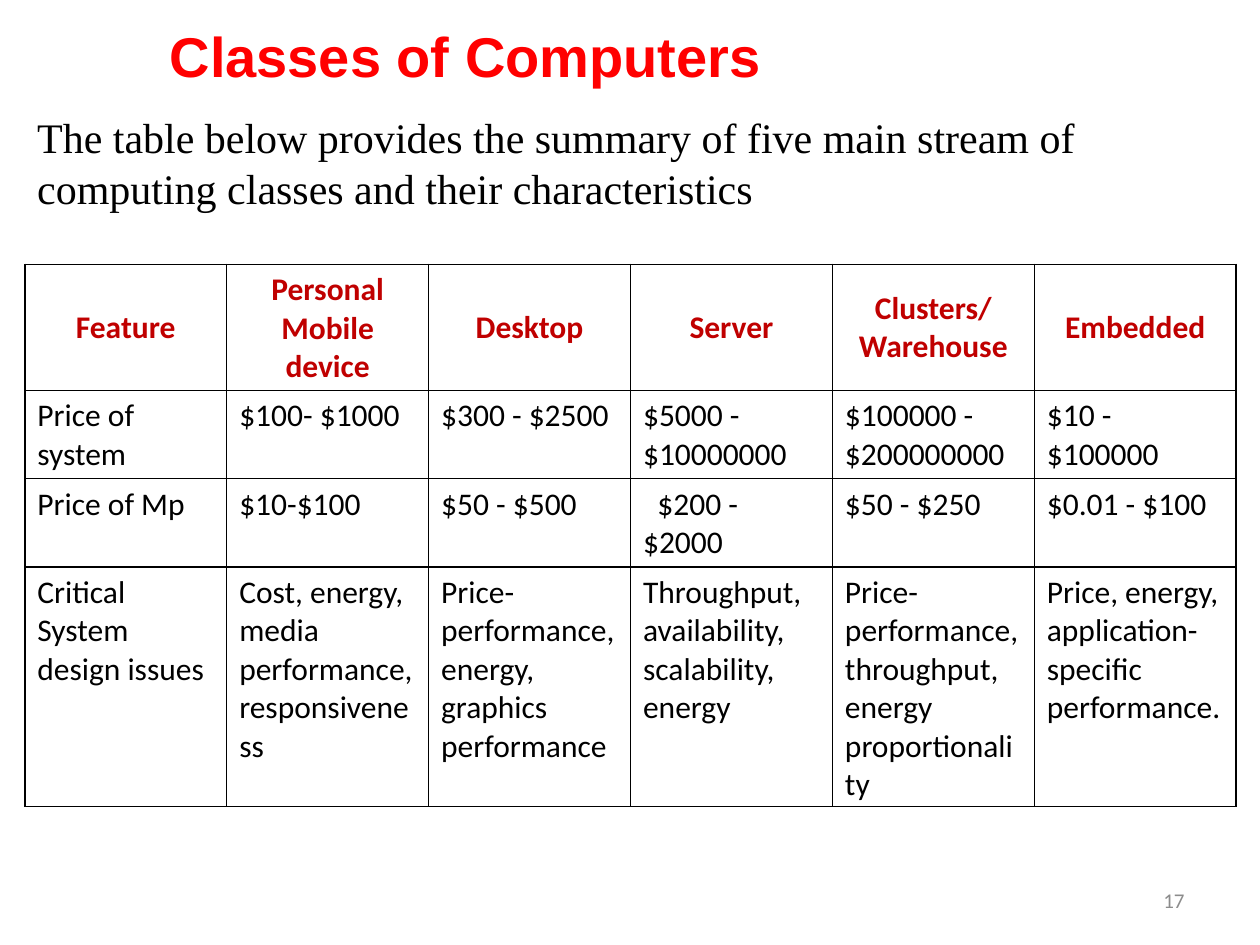
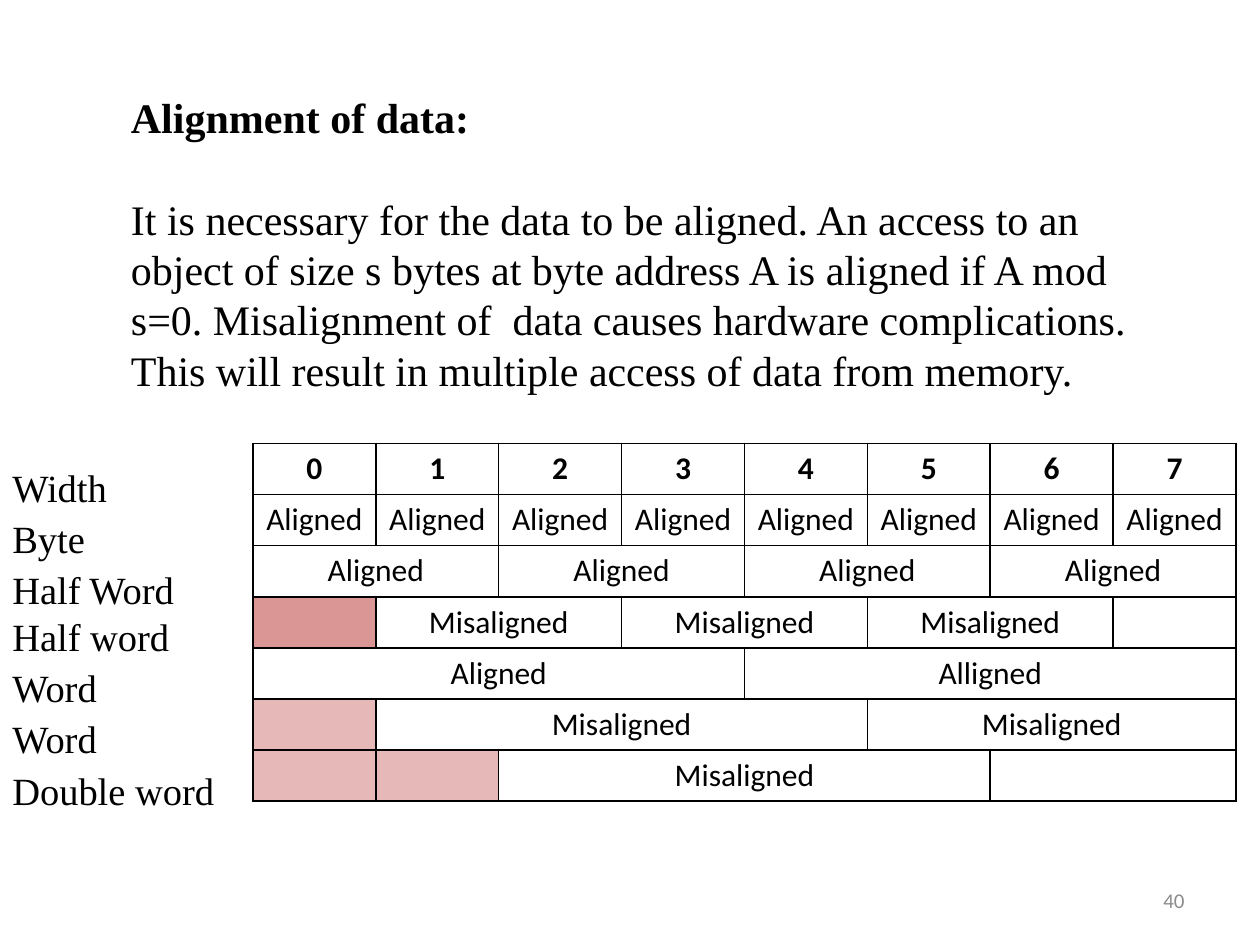
"""Build two lecture slides: classes of computers and alignment of data."""

from lxml.etree import SubElement
from pptx import Presentation
from pptx.dml.color import RGBColor
from pptx.enum.text import MSO_ANCHOR as Anchor, PP_ALIGN as Align
from pptx.oxml import parse_xml
from pptx.oxml.ns import nsdecls, qn
from pptx.util import Cm, Pt

COLORS = {
    "title": "FF0000",
    "header": "C00000",
    "text": "000000",
    "number": "8C8C8C",
    "rose": "D99694",
    "pink": "E6B9B8",
}
SERIF, SANS, TITLE_FONT = "Times New Roman", "Calibri", "Arial"
TABLE_RIGHT = 24.92

TITLE = "Classes of Computers"
SUMMARY = (
    "The table below provides the summary of five main stream of "
    "computing classes and their characteristics"
)
CLASSES = [
    ["Feature", "Personal Mobile device", "Desktop", "Server", "Clusters/Warehouse", "Embedded"],
    ["Price of system", "$100- $1000", "$300 - $2500", "$5000 - $10000000",
     "$100000 - $200000000", "$10 - $100000"],
    ["Price of Mp", "$10-$100", "$50 - $500", "$200 - $2000", "$50 - $250", "$0.01 - $100"],
    ["Critical System design issues", "Cost, energy, media performance, responsiveness",
     "Price-performance, energy, graphics performance",
     "Throughput, availability, scalability, energy",
     "Price-performance, throughput, energy proportionality",
     "Price, energy, application-specific performance."],
]
CLASS_ROW_HEIGHTS = [2.54, 1.78, 1.78, 4.83]
INDENTED_CELL, CELL_INDENT = (2, 3), 0.29

ALIGNMENT_HEADING = "Alignment of data:"
ALIGNMENT_TEXT = (
    "It is necessary for the data to be aligned. An access to an object of size s bytes "
    "at byte address A is aligned if A mod s=0. Misalignment of  data causes hardware "
    "complications. This will result in multiple access of data from memory."
)
WIDTH_LABELS = ["Width", "Byte", "Half Word Half word", "Word", "Word", "Double word"]
BYTE_COUNT = 8
ACCESS_ROWS = [
    [(str(offset), 1, None) for offset in range(BYTE_COUNT)],
    [("Aligned", 1, None)] * 8,
    [("Aligned", 2, None)] * 4,
    [("", 1, "rose")] + [("Misaligned", 2, None)] * 3 + [("", 1, None)],
    [("Aligned", 4, None), ("Alligned", 4, None)],
    [("", 1, "pink"), ("Misaligned", 4, None), ("Misaligned", 3, None)],
    [("", 1, "pink")] * 2 + [("Misaligned", 4, None), ("", 2, None)],
]


def add_run(paragraph, text, size, font=SERIF, color="text", bold=False):
    run = paragraph.add_run()
    run.text = text
    run.font.size = Pt(size)
    run.font.name = font
    run.font.bold = bold
    run.font.color.rgb = RGBColor.from_string(COLORS[color])


def add_text(slide, box, lines, size, gap=0, anchor=Anchor.TOP, align=Align.LEFT, **style):
    """Add a wrapped text box whose lines are (text, bold) pairs."""
    frame = slide.shapes.add_textbox(*map(Cm, box)).text_frame
    frame.word_wrap = True
    frame.vertical_anchor = anchor
    for index, (text, bold) in enumerate(lines):
        paragraph = frame.add_paragraph() if index else frame.paragraphs[0]
        paragraph.alignment = align
        if index:
            paragraph.space_before = Pt(gap)
        add_run(paragraph, text, size, bold=bold, **style)


def add_number(slide, number):
    add_text(slide, (18.2, 17.65, 5.93, 1.01), [(str(number), False)], 12,
             anchor=Anchor.MIDDLE, align=Align.RIGHT, font=SANS, color="number")


def style_cell(cell, fill=None):
    """Fill the cell, or leave it clear, and draw its four borders."""
    if fill:
        cell.fill.solid()
        cell.fill.fore_color.rgb = RGBColor.from_string(COLORS[fill])
    else:
        cell.fill.background()
    properties = cell._tc.get_or_add_tcPr()
    for index, side in enumerate(("lnL", "lnR", "lnT", "lnB")):
        line = parse_xml(f'<a:{side} {nsdecls("a")} w="{Pt(1)}"/>')
        solid = SubElement(line, qn("a:solidFill"))
        SubElement(solid, qn("a:srgbClr"), val=COLORS["text"])
        properties.insert(index, line)


def add_grid(slide, left, top, column_count, row_heights):
    width = TABLE_RIGHT - left
    frame = slide.shapes.add_table(len(row_heights), column_count, Cm(left), Cm(top),
                                   Cm(width), Cm(sum(row_heights)))
    table = frame.table
    table.first_row = table.horz_banding = False
    for column in table.columns:
        column.width = Cm(width / column_count)
    for row, height in zip(table.rows, row_heights):
        row.height = Cm(height)
    for cell in table.iter_cells():
        style_cell(cell)
    return table


def build_classes(slide):
    add_text(slide, (3.17, 0.3, 18.4, 1.62), [(TITLE, True)], 32, font=TITLE_FONT, color="title")
    add_text(slide, (0.5, 2.13, 24.41, 2.31), [(SUMMARY, False)], 24)
    table = add_grid(slide, 0.5, 5.33, len(CLASSES[0]), CLASS_ROW_HEIGHTS)
    for row, texts in enumerate(CLASSES):
        is_header = row == 0
        for column, text in enumerate(texts):
            cell = table.cell(row, column)
            paragraph = cell.text_frame.paragraphs[0]
            if is_header:
                cell.vertical_anchor = Anchor.MIDDLE
                paragraph.alignment = Align.CENTER
            if (row, column) == INDENTED_CELL:
                paragraph._p.get_or_add_pPr().set("indent", str(Cm(CELL_INDENT)))
            add_run(paragraph, text, 18, SANS, "header" if is_header else "text", is_header)


def build_alignment(slide):
    add_text(slide, (2.39, 1.73, 21.74, 7.44),
             [(ALIGNMENT_HEADING, True), (ALIGNMENT_TEXT, False)], 24, gap=29)
    table = add_grid(slide, 5.1, 8.94, BYTE_COUNT, [1.03] * len(ACCESS_ROWS))
    for row, accesses in enumerate(ACCESS_ROWS):
        column = 0
        for text, span, fill in accesses:
            cell = table.cell(row, column)
            if span > 1:
                cell.merge(table.cell(row, column + span - 1))
            if fill:
                cell.fill.solid()
                cell.fill.fore_color.rgb = RGBColor.from_string(COLORS[fill])
            if text:
                paragraph = cell.text_frame.paragraphs[0]
                paragraph.alignment = Align.CENTER
                add_run(paragraph, text, 18, SANS, bold=row == 0)
            column += span
    add_text(slide, (0, 9.22, 4.9, 8.33), [(label, False) for label in WIDTH_LABELS], 22, gap=3)


def main():
    presentation = Presentation()
    presentation.slide_width, presentation.slide_height = Cm(25.4), Cm(19.05)
    for build, number in ((build_classes, 17), (build_alignment, 40)):
        slide = presentation.slides.add_slide(presentation.slide_layouts[6])
        build(slide)
        add_number(slide, number)
    presentation.save("out.pptx")


if __name__ == "__main__":
    main()
